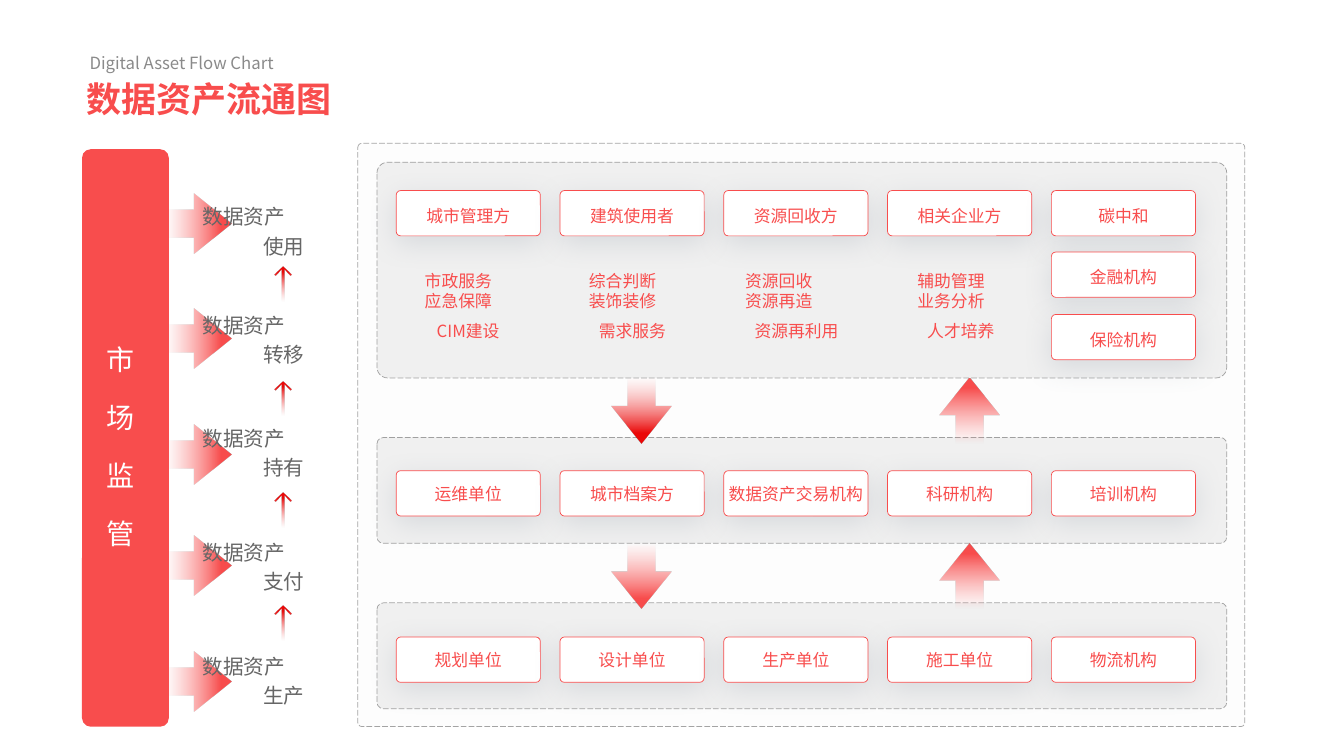
from lxml.etree import SubElement
from pptx import Presentation
from pptx.dml.color import RGBColor
from pptx.enum.dml import MSO_LINE
from pptx.enum.shapes import MSO_SHAPE
from pptx.enum.text import MSO_ANCHOR, PP_ALIGN
from pptx.oxml.ns import qn
from pptx.util import Pt

RED = RGBColor(0xF8, 0x4D, 0x4D)
DEEP_RED = RGBColor(0xEB, 0x09, 0x09)
PALE_RED = RGBColor(0xFB, 0x94, 0x94)
WHITE = RGBColor(0xFF, 0xFF, 0xFF)
FRAME_GRAY = RGBColor(0xF7, 0xF7, 0xF7)
PANEL_GRAY = RGBColor(0xF0, 0xF0, 0xF0)
DASH_GRAY = RGBColor(0x4D, 0x4D, 0x4D)
LABEL_GRAY = RGBColor(0x66, 0x66, 0x66)
SUBTITLE_GRAY = RGBColor(0x8A, 0x8A, 0x8A)
SHADOW_GRAY = RGBColor(0x77, 0x84, 0x95)

COLUMN_LEFT, COLUMN_STEP = 283, 117
CARD_ROWS = [
    (136.1, 3.6, ["城市管理方", "建筑使用者", "资源回收方", "相关企业方", "碳中和"]),
    (336.2, 0, ["运维单位", "城市档案方", "数据资产交易机构", "科研机构", "培训机构"]),
    (455, 0, ["规划单位", "设计单位", "生产单位", "施工单位", "物流机构"]),
]
FINANCE_CARDS = [(180, "金融机构"), (224.6, "保险机构")]
SERVICES = [
    (62, ["市政服务", "应急保障", "CIM建设"]),
    (62, ["综合判断", "装饰装修", "需求服务"]),
    (73.4, ["资源回收", "资源再造", "资源再利用"]),
    (62, ["辅助管理", "业务分析", "人才培养"]),
]
STAGES = [
    (138.2, 142.6, "使用"),
    (220.3, 220.3, "转移"),
    (303.1, 301, "持有"),
    (382.3, 382.3, "支付"),
    (465.1, 463.7, "生产"),
]
RISE_TOPS = [190.8, 272.6, 352.1, 432.7]
RISE_OUTLINE = [(6, 0), (12, 5.8), (11, 6.7), (7, 2.3), (7, 24.5),
                (5, 24.5), (5, 2.3), (1, 6.7), (0, 5.8)]


class FlowChart:
    """Draws the styled elements of the flow chart on one slide."""

    def __init__(self, slide, font="Noto Sans CJK JP"):
        self.slide = slide
        self.font = font

    def set_alpha(self, color, percent):
        SubElement(color, qn("a:alpha"), val=str(percent * 1000))

    def style_paragraph(self, paragraph, size, color, alignment, spacing=None, font=None, bold=False):
        paragraph.alignment = alignment
        if spacing:
            paragraph.line_spacing = Pt(spacing)
        name = font or self.font
        paragraph.font.name = name
        paragraph.font.size = Pt(size)
        paragraph.font.bold = bold
        paragraph.font.color.rgb = color
        properties = paragraph._p.pPr.find(qn("a:defRPr"))
        SubElement(properties, qn("a:ea"), typeface=name)

    def clear_margins(self, frame, top=0):
        frame.margin_left = frame.margin_right = frame.margin_bottom = 0
        frame.margin_top = Pt(top)
        frame.vertical_anchor = MSO_ANCHOR.MIDDLE

    def block(self, preset, left, top, width, height, *adjustments):
        shape = self.slide.shapes.add_shape(preset, Pt(left), Pt(top), Pt(width), Pt(height))
        for index, value in enumerate(adjustments):
            shape.adjustments[index] = value
        shape.shadow.inherit = False
        shape.line.fill.background()
        return shape

    def rounded(self, left, top, width, height, radius, color):
        shape = self.block(MSO_SHAPE.ROUNDED_RECTANGLE, left, top, width, height, radius)
        shape.fill.solid()
        shape.fill.fore_color.rgb = color
        return shape

    def panel(self, left, top, width, height, radius, color, alpha=100):
        shape = self.rounded(left, top, width, height, radius, color)
        shape.line.color.rgb = DASH_GRAY
        shape.line.width = Pt(0.5)
        shape.line.dash_style = MSO_LINE.LONG_DASH
        fill_color, line_color = shape._element.spPr.iter(qn("a:srgbClr"))
        self.set_alpha(fill_color, alpha)
        self.set_alpha(line_color, 50)

    def card(self, left, top, text, text_drop):
        shape = self.rounded(left, top, 103, 32.4, 0.1, WHITE)
        shape.line.color.rgb = RED
        shape.line.width = Pt(0.5)
        effects = shape._element.spPr.find(qn("a:effectLst"))
        shadow = SubElement(effects, qn("a:outerShdw"), blurRad=str(Pt(20)), dist=str(Pt(5)),
                            dir="5400000", algn="t", rotWithShape="0")
        self.set_alpha(SubElement(shadow, qn("a:srgbClr"), val=str(SHADOW_GRAY)), 20)
        frame = shape.text_frame
        self.clear_margins(frame, text_drop)
        frame.word_wrap = False
        frame.text = text
        self.style_paragraph(frame.paragraphs[0], 12, RED, PP_ALIGN.CENTER)

    def fade(self, shape, color, angle):
        shape.fill.gradient()
        shape.fill.gradient_angle = -angle % 360
        first, last = shape.fill.gradient_stops
        first.position, last.position = 0, 0.84
        first.color.rgb, last.color.rgb = PALE_RED, color
        self.set_alpha(next(shape._element.spPr.iter(qn("a:srgbClr"))), 0)

    def arrow(self, preset, left, top, angle, color=RED):
        width, height = (46.8, 43) if preset == MSO_SHAPE.RIGHT_ARROW else (43, 46.8)
        self.fade(self.block(preset, left, top, width, height, 0.46, 0.62), color, angle)

    def rise(self, left, top):
        points = [(Pt(left + x), Pt(top + y)) for x, y in RISE_OUTLINE]
        builder = self.slide.shapes.build_freeform(*points[0])
        builder.add_line_segments(points[1:], close=True)
        shape = builder.convert_to_shape()
        shape.shadow.inherit = False
        shape.line.fill.background()
        self.fade(shape, DEEP_RED, 270)

    def text_box(self, left, top, width, height, wrap=True):
        box = self.slide.shapes.add_textbox(Pt(left), Pt(top), Pt(width), Pt(height))
        box.text_frame.word_wrap = wrap
        return box.text_frame

    def line(self, left, top, width, height, text, size, color, wrap=False,
             alignment=PP_ALIGN.LEFT, **style):
        frame = self.text_box(left, top, width, height, wrap)
        frame.text = text
        self.style_paragraph(frame.paragraphs[0], size, color, alignment, **style)

    def stepped_lines(self, left, top, width, height, lines, size, color, spacing, last_spacing):
        frame = self.text_box(left, top, width, height)
        self.clear_margins(frame)
        frame.text = "\n".join(lines)
        *leading, last = frame.paragraphs
        for paragraph in leading:
            self.style_paragraph(paragraph, size, color, PP_ALIGN.LEFT, spacing)
        self.style_paragraph(last, size, color, PP_ALIGN.CENTER, last_spacing)


def main():
    presentation = Presentation()
    presentation.slide_width, presentation.slide_height = Pt(960), Pt(540)
    chart = FlowChart(presentation.slides.add_slide(presentation.slide_layouts[6]))

    chart.panel(255.6, 102.4, 633.6, 416.6, 0.007, FRAME_GRAY, 20)
    for top in (312.5, 430.6):
        chart.panel(269.3, top, 607, 75.6, 0.06, PANEL_GRAY)
    for top, down_color in ((270, DEEP_RED), (388, RED)):
        chart.arrow(MSO_SHAPE.DOWN_ARROW, 436.5, top, 90, down_color)
        chart.arrow(MSO_SHAPE.UP_ARROW, 671, top, 270)
    chart.panel(269.3, 115.9, 607, 154.1, 0.05, PANEL_GRAY)

    for top, text_drop, names in CARD_ROWS:
        for column, name in enumerate(names):
            chart.card(COLUMN_LEFT + column * COLUMN_STEP, top, name, text_drop)
    for top, name in FINANCE_CARDS:
        chart.card(COLUMN_LEFT + 4 * COLUMN_STEP, top, name, 3.6)
    for column, (width, lines) in enumerate(SERVICES):
        center = 334.4 + column * 117.3
        chart.stepped_lines(center - width / 2, 186.6, width, 63.4, lines, 12, RED, 14.3, 21.5)

    for arrow_top, label_top, stage in STAGES:
        chart.arrow(MSO_SHAPE.RIGHT_ARROW, 118.5, arrow_top, 0)
        chart.stepped_lines(144.7, label_top, 116, 41.8, ["数据资产", stage],
                            14.7, LABEL_GRAY, 20.9, 20.9)
    for top in RISE_TOPS:
        chart.rise(196, top)

    chart.rounded(58.6, 106.6, 62, 412.5, 0.1, RED)
    chart.line(68.4, 224, 35.3, 167, "市场监管", 20, WHITE, wrap=True,
               alignment=PP_ALIGN.CENTER, spacing=41.3)
    chart.line(54.7, 51.8, 191.5, 37.4, "数据资产流通图", 25, RED,
               font="Noto Sans CJK SC", bold=True)
    chart.line(56.9, 33.8, 152, 21.6, "Digital Asset Flow Chart", 12, SUBTITLE_GRAY)

    presentation.save("out.pptx")


if __name__ == "__main__":
    main()
